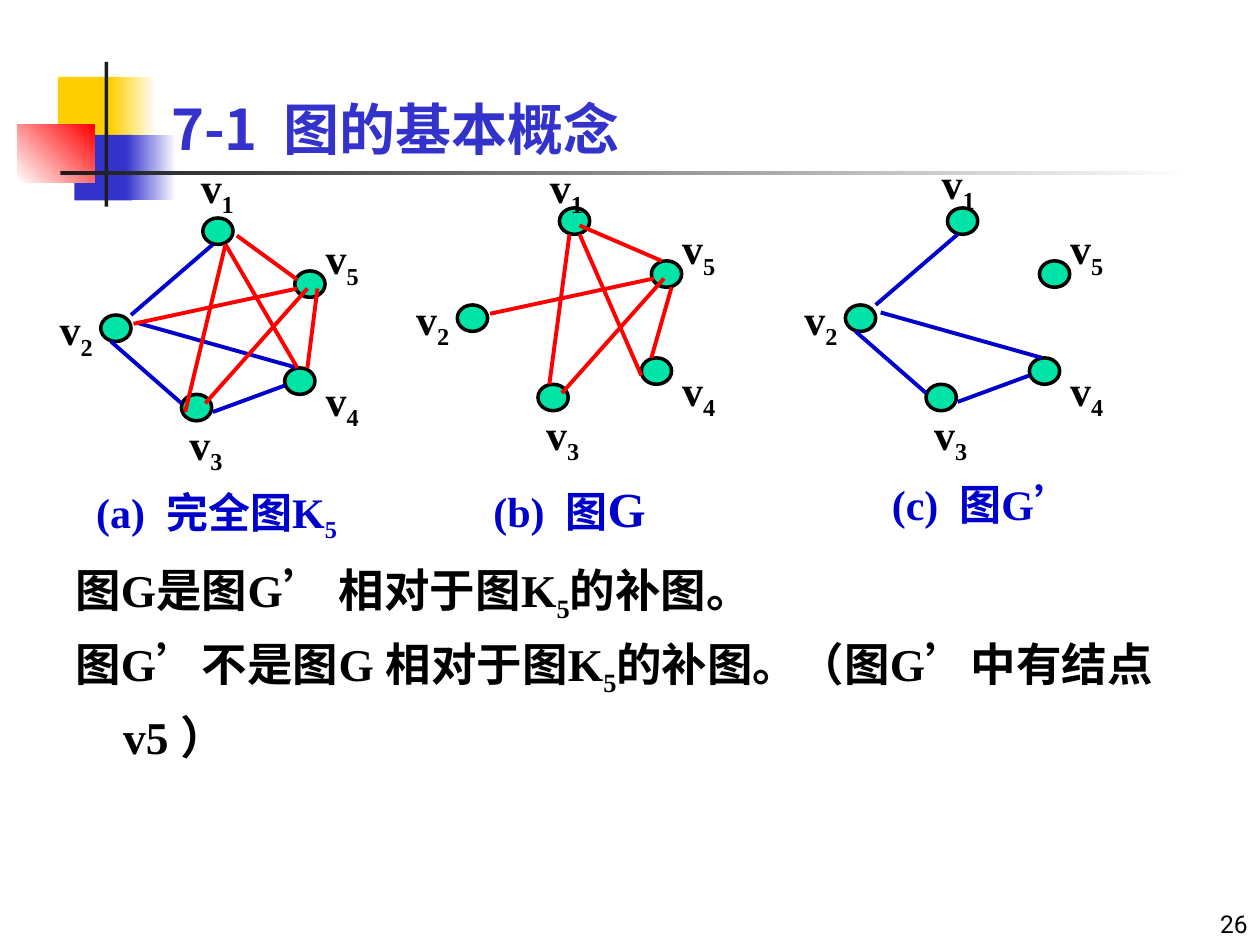
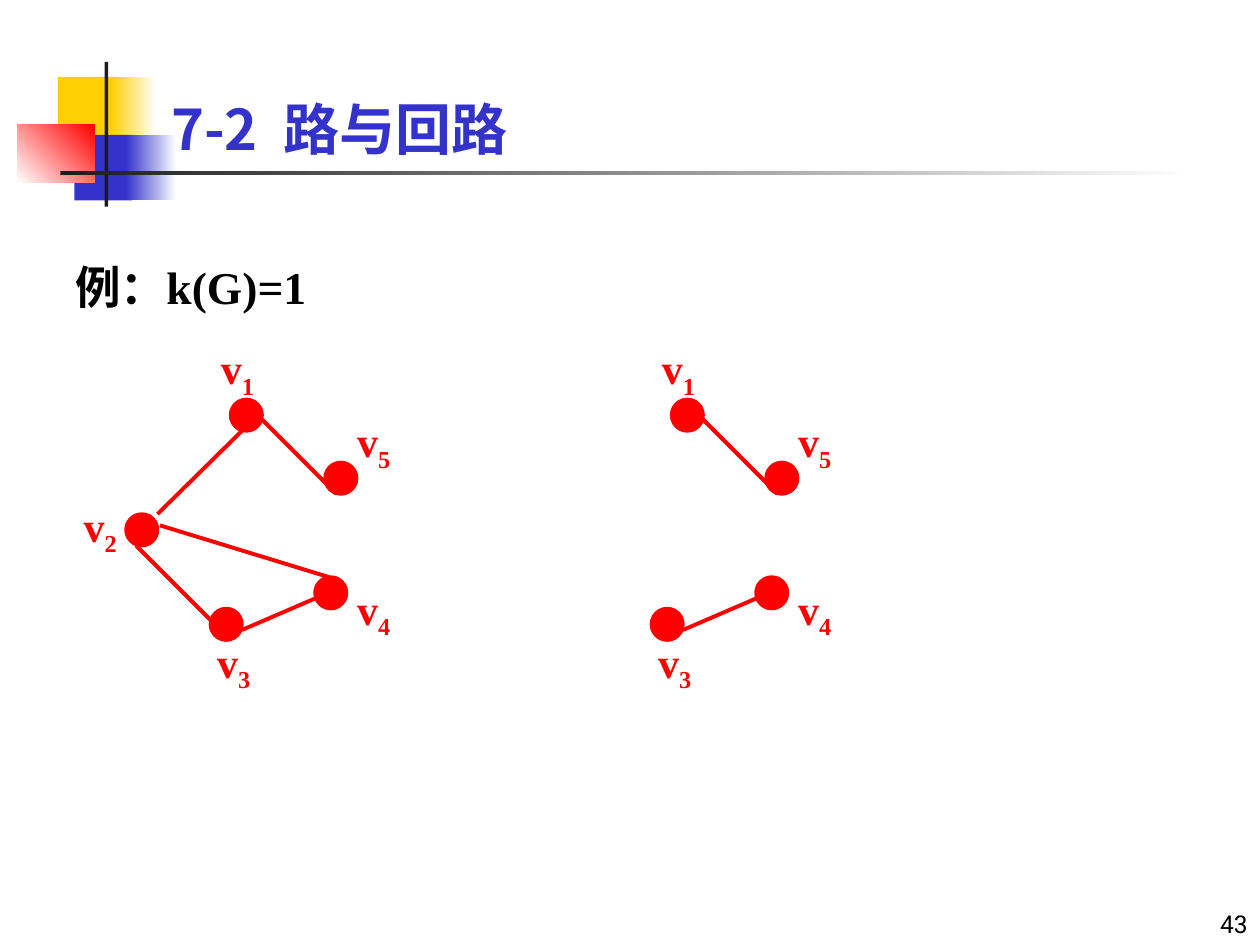
from dataclasses import dataclass

from lxml import etree
from pptx import Presentation
from pptx.dml.color import RGBColor
from pptx.enum import shapes, text
from pptx.oxml.ns import qn
from pptx.util import Emu, Pt

PX = 9144  # one px is a hundredth of an inch


@dataclass(frozen=True)
class Theme:
    serif: str = "Times New Roman"
    cjk: str = "Noto Sans CJK SC"
    digits: str = "Roboto"
    quote: str = "Courier New"
    white: str = "FFFFFF"
    black: str = "000000"
    ink: str = "1C1C1C"
    yellow: str = "FFCF01"
    indigo: str = "3333CC"
    red: str = "FF0000"
    blue: str = "0000CC"
    green: str = "00E4A8"
    title_size: int = 32
    body_size: int = 26
    label_size: int = 24
    large_size: int = 28
    number_size: int = 14
    edge_width: float = 2.25
    node_width: float = 2


THEME = Theme()


def px(*lengths):
    return [Emu(length * PX) for length in lengths]


def write(frame, paragraphs, align=None, lead=None, hanging=0, before=0, **fmt):
    """Fill a frame; a paragraph is a list of strings or (string, format) pairs."""
    for i, runs in enumerate(paragraphs):
        para = frame.paragraphs[0] if i == 0 else frame.add_paragraph()
        if align is not None:
            para.alignment = align
        if lead:
            para.line_spacing = lead
        props = para._p.get_or_add_pPr()
        if hanging:
            props.set("marL", str(hanging * PX))
            props.set("indent", str(-hanging * PX))
        if before:
            space = etree.SubElement(props, qn("a:spcBef"))
            etree.SubElement(space, qn("a:spcPct")).set("val", str(before * 1000))
        for piece in runs:
            words, extra = (piece, {}) if isinstance(piece, str) else piece
            style = {"bold": True, "font": THEME.serif, "sub": False, **fmt, **extra}
            run = para.add_run()
            run.text = words
            run.font.size = Pt(style["size"])
            run.font.bold = style["bold"]
            run.font.color.rgb = RGBColor.from_string(style["color"])
            run.font.name = style["font"]
            run_props = run._r.get_or_add_rPr()
            etree.SubElement(run_props, qn("a:ea")).set("typeface", THEME.cjk)
            if style["sub"]:
                run_props.set("baseline", "-25000")


def sub(words):
    return words, {"sub": True}


class Deck:
    def __init__(self, theme):
        self.theme = theme
        self.prs = Presentation()
        self.prs.slide_width, self.prs.slide_height = px(1000, 750)
        self.slide = None

    def new_slide(self, title, number):
        t = self.theme
        self.slide = self.prs.slides.add_slide(self.prs.slide_layouts[6])
        # Corner blocks and rules
        self.block((46, 61, 48, 52), t.yellow)
        self.block((88, 61, 36, 52), t.yellow, t.white)
        self.block((59, 107, 46, 52), t.indigo)
        self.block((100, 107, 40, 52), t.indigo, t.white)
        self.block((14, 99, 61, 46), t.white, t.red, angle=45)
        self.block((83, 49, 3, 115), t.ink)
        self.block((48, 136, 900, 3), t.ink, t.white)
        # Page number and title
        bottom = text.MSO_ANCHOR.BOTTOM
        self.words((792, 700, 208, 50), [[str(number)]], anchor=bottom,
                   align=text.PP_ALIGN.RIGHT, size=t.number_size,
                   color=t.black, font=t.digits, bold=False)
        self.words((126, 8, 852, 125), [[title]], anchor=bottom,
                   size=t.title_size, color=t.indigo, font=t.cjk)

    def block(self, box, color, fade_to=None, angle=0):
        shape = self.slide.shapes.add_shape(shapes.MSO_SHAPE.RECTANGLE, *px(*box))
        shape.shadow.inherit = False
        shape.line.fill.background()
        if fade_to:
            shape.fill.gradient()
            shape.fill.gradient_angle = angle
            for stop, tone in zip(shape.fill.gradient_stops, (color, fade_to)):
                stop.color.rgb = RGBColor.from_string(tone)
        else:
            shape.fill.solid()
            shape.fill.fore_color.rgb = RGBColor.from_string(color)

    def words(self, box, paragraphs, anchor=text.MSO_ANCHOR.TOP, **fmt):
        frame = self.slide.shapes.add_textbox(*px(*box)).text_frame
        frame.word_wrap = True
        frame.vertical_anchor = anchor
        write(frame, paragraphs, **fmt)

    def body(self, box, paragraphs):
        self.words(box, paragraphs, lead=1.2, hanging=38,
                   size=self.theme.body_size, color=self.theme.black)

    def caption(self, box, runs, color):
        self.words(box, [runs], align=text.PP_ALIGN.CENTER, before=50,
                   size=self.theme.label_size, color=color)

    def node(self, box, fill, outline):
        dot = self.slide.shapes.add_shape(shapes.MSO_SHAPE.OVAL, *px(*box))
        dot.shadow.inherit = False
        dot.fill.solid()
        dot.fill.fore_color.rgb = RGBColor.from_string(fill)
        dot.line.color.rgb = RGBColor.from_string(outline)
        dot.line.width = Pt(self.theme.node_width)

    def edge(self, ends, color):
        line = self.slide.shapes.add_connector(
            shapes.MSO_CONNECTOR.STRAIGHT, *px(*ends))
        line.line.color.rgb = RGBColor.from_string(color)
        line.line.width = Pt(self.theme.edge_width)
        etree.SubElement(line._element.spPr, qn("a:effectLst"))

    def graph(self, layout, origin, edges, vertices=(1, 2, 3, 4, 5),
              moved_edges=None, moved_labels=None):
        """Draw vertices and {vertex pair: colour} edges, shifted to origin."""
        dx, dy = origin
        places = {**layout.edges, **(moved_edges or {})}
        labels = {**layout.labels, **(moved_labels or {})}
        for v in vertices:
            x, y = layout.nodes[v]
            self.node((x + dx, y + dy, *layout.node_size), layout.fill, layout.ink)
        for pair, color in edges.items():
            x1, y1, x2, y2 = places[pair]
            self.edge((x1 + dx, y1 + dy, x2 + dx, y2 + dy), color)
        for v in vertices:
            x, y = labels[v]
            self.caption((x + dx, y + dy, 55, 50), ["v", sub(str(v))], layout.ink)


@dataclass
class GraphLayout:
    nodes: dict
    labels: dict
    edges: dict
    node_size: tuple
    fill: str
    ink: str


COMPLETE = GraphLayout(
    nodes={1: (161, 173), 2: (80, 250), 3: (144, 313), 4: (226, 292), 5: (234, 215)},
    labels={1: (145, 123), 2: (33, 236), 3: (136, 327), 4: (244, 292), 5: (244, 180)},
    edges={
        (1, 2): (169, 194, 104, 250), (2, 3): (144, 320, 88, 271),
        (2, 4): (236, 292, 108, 256), (3, 4): (226, 306, 169, 327),
        (1, 3): (179, 194, 147, 327), (1, 4): (179, 194, 236, 292),
        (1, 5): (236, 222, 188, 187), (2, 5): (236, 229, 106, 257),
        (3, 5): (244, 229, 163, 320), (4, 5): (252, 229, 244, 292),
    },
    node_size=(24, 21), fill=THEME.green, ink=THEME.black)

CUT_VERTEX = GraphLayout(
    nodes={1: (183, 317), 2: (100, 408), 3: (167, 483), 4: (250, 458), 5: (258, 367)},
    labels={1: (161, 267), 2: (52, 392), 3: (158, 500), 4: (269, 458), 5: (269, 325)},
    edges={
        (1, 2): (192, 342, 125, 408), (2, 3): (167, 492, 108, 433),
        (2, 4): (261, 458, 127, 417), (3, 4): (250, 475, 192, 500),
        (1, 5): (267, 392, 208, 333),
    },
    node_size=(25, 25), fill=THEME.red, ink=THEME.red)


def complement_slide(deck):
    t = deck.theme
    deck.new_slide("7-1  图的基本概念", 26)
    path_edges = dict.fromkeys([(1, 2), (2, 3), (2, 4), (3, 4)], t.blue)
    other_edges = dict.fromkeys(
        [(1, 3), (1, 4), (1, 5), (2, 5), (3, 5), (4, 5)], t.red)
    # The complete graph, G and G’
    deck.graph(COMPLETE, (0, 0), path_edges | other_edges)
    deck.graph(COMPLETE, (283, -8), other_edges,
               moved_edges={(1, 3): (169, 194, 153, 313), (1, 4): (226, 306, 177, 194),
                            (1, 5): (242, 215, 177, 187), (4, 5): (234, 292, 250, 236)},
               moved_labels={1: (139, 131)})
    deck.graph(COMPLETE, (591, -8), path_edges, moved_labels={1: (142, 128)})
    # Captions
    deck.caption((50, 381, 244, 50), ["(a)  完全图K", sub("5")], t.blue)
    deck.caption((371, 375, 162, 57),
                 ["(b)  图", ("G", {"size": t.large_size})], t.blue)
    deck.caption((643, 375, 276, 50),
                 ["(c)  图G", ("’", {"font": t.quote})], t.blue)
    # Conclusion
    deck.body((50, 431, 900, 133), [
        ["图G是图G’ 相对于图K", sub("5"), "的补图。"],
        ["图G’不是图G 相对于图K", sub("5"), "的补图。（图G’中有结点v5 ）"],
    ])


def connectivity_slide(deck):
    deck.new_slide("7-2  路与回路", 43)
    # The connected graph, then the same graph without v2
    deck.graph(CUT_VERTEX, (0, 0), dict.fromkeys(CUT_VERTEX.edges, THEME.red))
    deck.graph(CUT_VERTEX, (350, 0), dict.fromkeys([(3, 4), (1, 5)], THEME.red),
               vertices=(1, 3, 4, 5))
    deck.body((50, 192, 850, 450), [["例：k(G)=1"]])


def main():
    deck = Deck(THEME)
    complement_slide(deck)
    connectivity_slide(deck)
    deck.prs.save("out.pptx")


if __name__ == "__main__":
    main()
